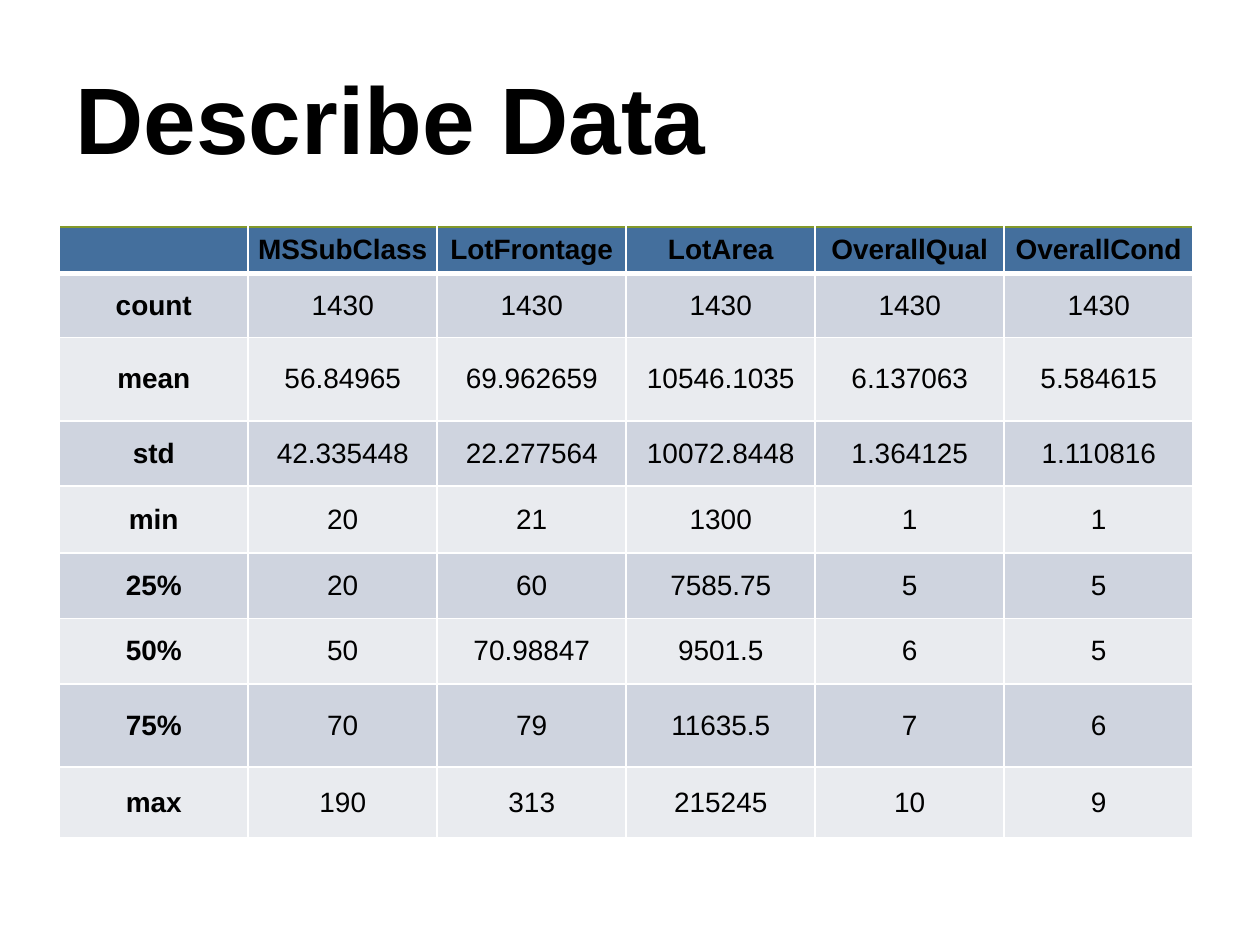
from dataclasses import dataclass

from lxml import etree
from pptx import Presentation
from pptx.dml.color import RGBColor
from pptx.enum.text import MSO_ANCHOR, PP_ALIGN
from pptx.oxml.ns import qn
from pptx.util import Inches, Pt

MIDDLE = MSO_ANCHOR.MIDDLE
LEFT, CENTER = PP_ALIGN.LEFT, PP_ALIGN.CENTER
TITLE_ONLY = 5


@dataclass(frozen=True)
class Theme:
    font: str = "Arial"
    title_size: int = 54
    table_size: int = 16
    text: str = "000000"
    header: str = "446F9D"
    bands: tuple = ("CFD4DF", "E9EBEF")
    grid: str = "FFFFFF"
    top_rule: str = "83992A"


THEME = Theme()

COLUMN_WIDTH = 1.5
ROW_HEIGHTS = [0.37, 0.51, 0.66, 0.52, 0.53, 0.52, 0.52, 0.66, 0.56]
STATISTICS = [
    ["", "MSSubClass", "LotFrontage", "LotArea", "OverallQual", "OverallCond"],
    ["count", "1430", "1430", "1430", "1430", "1430"],
    ["mean", "56.84965", "69.962659", "10546.1035", "6.137063", "5.584615"],
    ["std", "42.335448", "22.277564", "10072.8448", "1.364125", "1.110816"],
    ["min", "20", "21", "1300", "1", "1"],
    ["25%", "20", "60", "7585.75", "5", "5"],
    ["50%", "50", "70.98847", "9501.5", "6", "5"],
    ["75%", "70", "79", "11635.5", "7", "6"],
    ["max", "190", "313", "215245", "10", "9"],
]


def format_text(text_frame, size, bold, alignment):
    for paragraph in text_frame.paragraphs:
        paragraph.alignment = alignment
        for run in paragraph.runs:
            run.font.name = THEME.font
            run.font.size = Pt(size)
            run.font.bold = bold
            run.font.color.rgb = RGBColor.from_string(THEME.text)


def add_title(slide, text):
    title = slide.shapes.title
    title.left, title.top = Inches(0.5), Inches(0.3)
    title.width, title.height = Inches(9), Inches(1.25)
    title.text_frame.text = text
    title.text_frame.vertical_anchor = MIDDLE
    format_text(title.text_frame, THEME.title_size, True, LEFT)


def set_borders(cell, top, bottom):
    """Draw thin grid lines at the sides and the given (colour, points) rules."""
    side = (THEME.grid, 1)
    properties = cell._tc.get_or_add_tcPr()
    edges = {"a:lnL": side, "a:lnR": side, "a:lnT": top, "a:lnB": bottom}
    for tag, (color, width) in edges.items():
        line = etree.SubElement(properties, qn(tag), w=str(Pt(width)))
        fill = etree.SubElement(line, qn("a:solidFill"))
        etree.SubElement(fill, qn("a:srgbClr"), val=color)


def format_cell(cell, row, column):
    thin, thick = (THEME.grid, 1), (THEME.grid, 3)
    is_header = row == 0
    # Borders come before the fill in the cell properties
    if is_header:
        set_borders(cell, (THEME.top_rule, 1.5), thick)
    else:
        set_borders(cell, thick if row == 1 else thin, thin)
    cell.fill.solid()
    color = THEME.header if is_header else THEME.bands[(row - 1) % 2]
    cell.fill.fore_color.rgb = RGBColor.from_string(color)
    cell.vertical_anchor = MIDDLE
    cell.margin_left = cell.margin_right = 0
    cell.margin_top = cell.margin_bottom = 0
    format_text(cell.text_frame, THEME.table_size, is_header or column == 0, CENTER)


def add_statistics_table(slide, rows):
    column_count = len(rows[0])
    table = slide.shapes.add_table(
        len(rows), column_count, Inches(0.47), Inches(1.8),
        Inches(COLUMN_WIDTH * column_count), Inches(sum(ROW_HEIGHTS)),
    ).table
    for column in table.columns:
        column.width = Inches(COLUMN_WIDTH)
    for table_row, height in zip(table.rows, ROW_HEIGHTS):
        table_row.height = Inches(height)
    for row, values in enumerate(rows):
        for column, value in enumerate(values):
            cell = table.cell(row, column)
            if value:
                cell.text_frame.text = value
            format_cell(cell, row, column)


def main():
    presentation = Presentation()
    presentation.slide_width, presentation.slide_height = Inches(10), Inches(7.5)
    slide = presentation.slides.add_slide(presentation.slide_layouts[TITLE_ONLY])

    # Heading
    add_title(slide, "Describe Data")

    # Summary statistics
    add_statistics_table(slide, STATISTICS)

    presentation.save("out.pptx")


if __name__ == "__main__":
    main()
